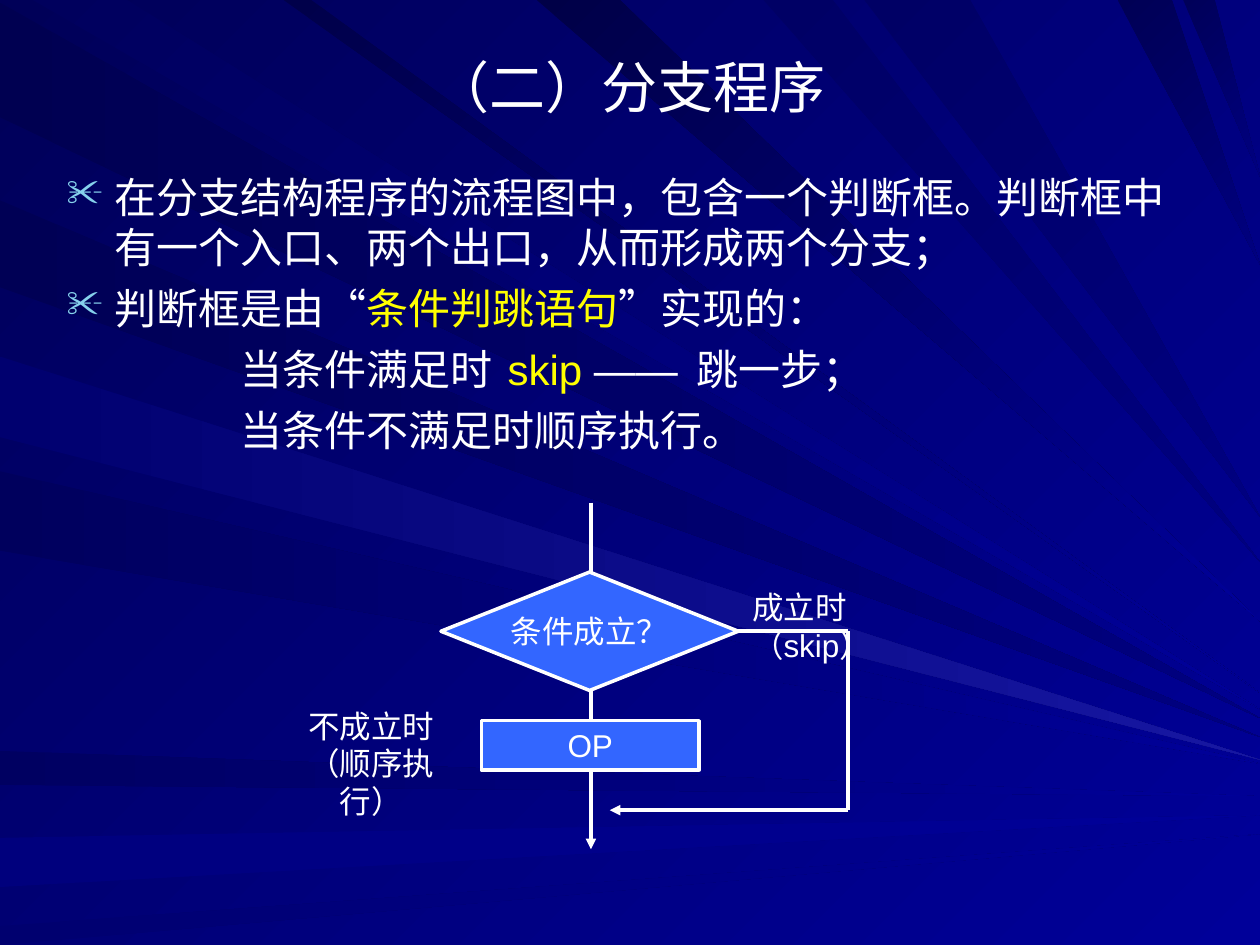
"""Build a slide on branching programs with a decision flowchart."""
from dataclasses import dataclass

from lxml import etree
from pptx import Presentation
from pptx import util as u
from pptx.dml import color
from pptx.enum import shapes, text
from pptx.oxml import ns

WHITE, YELLOW, BLUE, BULLET = "FFFFFF", "FFFF00", "3366FF", "86D1EC"
GLOW = "000099"
FONT = "Arial"
WIDTH, HEIGHT = 10, 7.5


@dataclass
class Ray:
    near: float
    far: float
    tip: float
    start: str
    end: str = GLOW


@dataclass
class Span:
    words: str
    colour: str = WHITE


@dataclass
class Line:
    spans: list[Span]
    margin: float = 0
    indent: float = 0
    bullet: str = ""
    tabs: tuple[float, ...] = ()


@dataclass
class Node:
    kind: shapes.MSO_SHAPE
    place: tuple[float, float, float, float]
    words: str


@dataclass
class Label:
    place: tuple[float, float, float, float]
    words: str
    align: text.PP_ALIGN


LEFT_RAYS = [
    Ray(0.02, 0.93, 5.7, "000051", "000080"),
    Ray(1.59, 2.28, 5.85, "000055", "000080"),
    Ray(5.96, 6.23, 6.32, "000061"),
    Ray(6.65, 7.04, 6.47, "00007D"),
    Ray(7.35, 7.5, 6.62, "00006F"),
    Ray(3.74, 4.37, 6.06, "00005D"),
    Ray(2.83, 3.47, 6.03, "00006F", "1717A2"),
]
TOP_RAYS = [
    Ray(0.26, 1.01, 5.63, "00005D"),
    Ray(2.25, 2.47, 5.5, "00004A"),
    Ray(4.26, 4.92, 4.93, "000047"),
    Ray(6.06, 6.61, 4.46, "000065", "000080"),
    Ray(6.86, 7.7, 4.1, "000065", "000080"),
    Ray(8.87, 9.3, 2.1, "000055", "000080"),
    Ray(9.39, 9.64, 1.4, "000059", "000080"),
]
BODY = [
    Line([Span("在分支结构程序的流程图中，包含一个判断框。判断框中有一个入口、两个出口，从而形成两个分支；")],
         0.38, -0.38, "✂"),
    Line([Span("判断框是由“"), Span("条件判跳语句", YELLOW), Span("”实现的：")], 0.38, -0.38, "✂"),
    Line([Span("当条件满足时\t"), Span("skip", YELLOW), Span(" ——\t跳一步；")], indent=1.38, tabs=(3.6, 5.22)),
    Line([Span("当条件不满足时顺序执行。")], indent=1.38),
]
DECISION = Node(shapes.MSO_SHAPE.FLOWCHART_DECISION, (3.5, 4.54, 2.36, 0.94), "条件成立？")
OPERATION = Node(shapes.MSO_SHAPE.RECTANGLE, (3.82, 5.72, 1.73, 0.39), "OP")
LABELS = [
    Label((5.87, 4.62, 1.89, 0.7), "成立时（skip）", text.PP_ALIGN.LEFT),
    Label((2.16, 5.56, 1.57, 1), "不成立时（顺序执行）", text.PP_ALIGN.CENTER),
]


def rgb(value: str) -> color.RGBColor:
    return color.RGBColor.from_string(value)


def inches(values) -> list[u.Length]:
    return [u.Inches(value) for value in values]


def blend(fill, start: str, end: str, angle: int) -> None:
    fill.gradient()
    fill.gradient_angle = -angle % 360
    for stop, value in zip(fill.gradient_stops, (start, end)):
        stop.color.rgb = rgb(value)


def style(font, size: float, colour: str = WHITE) -> None:
    font.name, font.size, font.bold = FONT, u.Pt(size), False
    font.color.rgb = rgb(colour)


def draw_ray(page, ray: Ray, from_top: bool) -> None:
    corners = [(edge, 0) if from_top else (0, edge) for edge in (ray.near, ray.far)]
    first, *rest = [tuple(inches(point)) for point in (*corners, (WIDTH, ray.tip))]
    builder = page.shapes.build_freeform(*first, scale=1.0)
    builder.add_line_segments(rest, close=True)
    shape = builder.convert_to_shape()
    shape.shadow.inherit = False
    shape.line.fill.background()
    blend(shape.fill, ray.start, ray.end, 45 if from_top else 0)


def write(shape, words: str, size: float, align: text.PP_ALIGN) -> None:
    shape.text_frame.text = words
    para = shape.text_frame.paragraphs[0]
    para.alignment = align
    style(para.runs[0].font, size)


def draw_title(page, words: str) -> None:
    title = page.shapes.title
    title.element.getparent().append(title.element)
    title.left, title.top, title.width, title.height = inches((0.5, 0.3, 9, 0.77))
    write(title, words, 32, text.PP_ALIGN.CENTER)
    title.text_frame.vertical_anchor = text.MSO_ANCHOR.MIDDLE
    title.text_frame.auto_size = text.MSO_AUTO_SIZE.NONE


def set_layout(para, line: Line) -> None:
    props = para._p.get_or_add_pPr()
    props.set("marL", str(u.Inches(line.margin)))
    props.set("indent", str(u.Inches(line.indent)))
    if line.bullet:
        tint = etree.SubElement(props, ns.qn("a:buClr"))
        etree.SubElement(tint, ns.qn("a:srgbClr"), val=BULLET)
        etree.SubElement(props, ns.qn("a:buSzPct"), val="90000")
        etree.SubElement(props, ns.qn("a:buChar"), char=line.bullet)
    if line.tabs:
        stops = etree.SubElement(props, ns.qn("a:tabLst"))
        for position in line.tabs:
            etree.SubElement(stops, ns.qn("a:tab"), pos=str(u.Inches(position)), algn="l")


def draw_body(page, lines: list[Line]) -> None:
    frame = page.shapes.add_textbox(*inches((0.43, 1.31, 9, 2.52))).text_frame
    frame.word_wrap = True
    for index, line in enumerate(lines):
        para = frame.add_paragraph() if index else frame.paragraphs[0]
        set_layout(para, line)
        if index:
            para.space_before = u.Pt(6)
        for span in line.spans:
            run = para.add_run()
            run.text = span.words
            style(run.font, 24, span.colour)


def draw_node(page, node: Node):
    shape = page.shapes.add_shape(node.kind, *inches(node.place))
    shape.shadow.inherit = False
    shape.fill.solid()
    shape.fill.fore_color.rgb = rgb(BLUE)
    shape.line.color.rgb, shape.line.width = rgb(WHITE), u.Pt(2)
    write(shape, node.words, 18, text.PP_ALIGN.CENTER)
    shape.text_frame.vertical_anchor = text.MSO_ANCHOR.MIDDLE
    shape.text_frame.word_wrap = False
    return shape


def draw_flow(page, start: tuple[float, float], end: tuple[float, float], arrow: bool = False):
    flow = page.shapes.add_connector(shapes.MSO_CONNECTOR.STRAIGHT, *inches(start + end))
    flow.line.color.rgb, flow.line.width = rgb(WHITE), u.Pt(2)
    if arrow:
        etree.SubElement(flow.line._get_or_add_ln(), ns.qn("a:tailEnd"), type="triangle")
    etree.SubElement(flow._element.spPr, ns.qn("a:effectLst"))
    return flow


def draw_label(page, label: Label) -> None:
    box = page.shapes.add_textbox(*inches(label.place))
    box.text_frame.word_wrap = True
    box.text_frame.auto_size = text.MSO_AUTO_SIZE.SHAPE_TO_FIT_TEXT
    write(box, label.words, 18, label.align)


def main() -> None:
    deck = Presentation()
    deck.slide_width, deck.slide_height = inches((WIDTH, HEIGHT))
    page = deck.slides.add_slide(deck.slide_layouts[5])
    blend(page.background.fill, "000058", GLOW, 45)
    for rays, from_top in ((TOP_RAYS, True), (LEFT_RAYS, False)):
        for ray in rays:
            draw_ray(page, ray, from_top)
    draw_title(page, "（二）分支程序")
    draw_body(page, BODY)
    axis, middle, bypass, merge = 4.69, 5.01, 6.73, 6.43
    draw_flow(page, (axis, 3.99), (axis, 6.74), arrow=True)
    decision = draw_node(page, DECISION)
    draw_flow(page, (5.86, middle), (bypass, middle)).begin_connect(decision, 3)
    draw_flow(page, (bypass, middle), (bypass, merge))
    draw_node(page, OPERATION)
    draw_flow(page, (bypass, merge), (4.84, merge), arrow=True)
    for label in LABELS:
        draw_label(page, label)
    deck.save("out.pptx")


if __name__ == "__main__":
    main()
